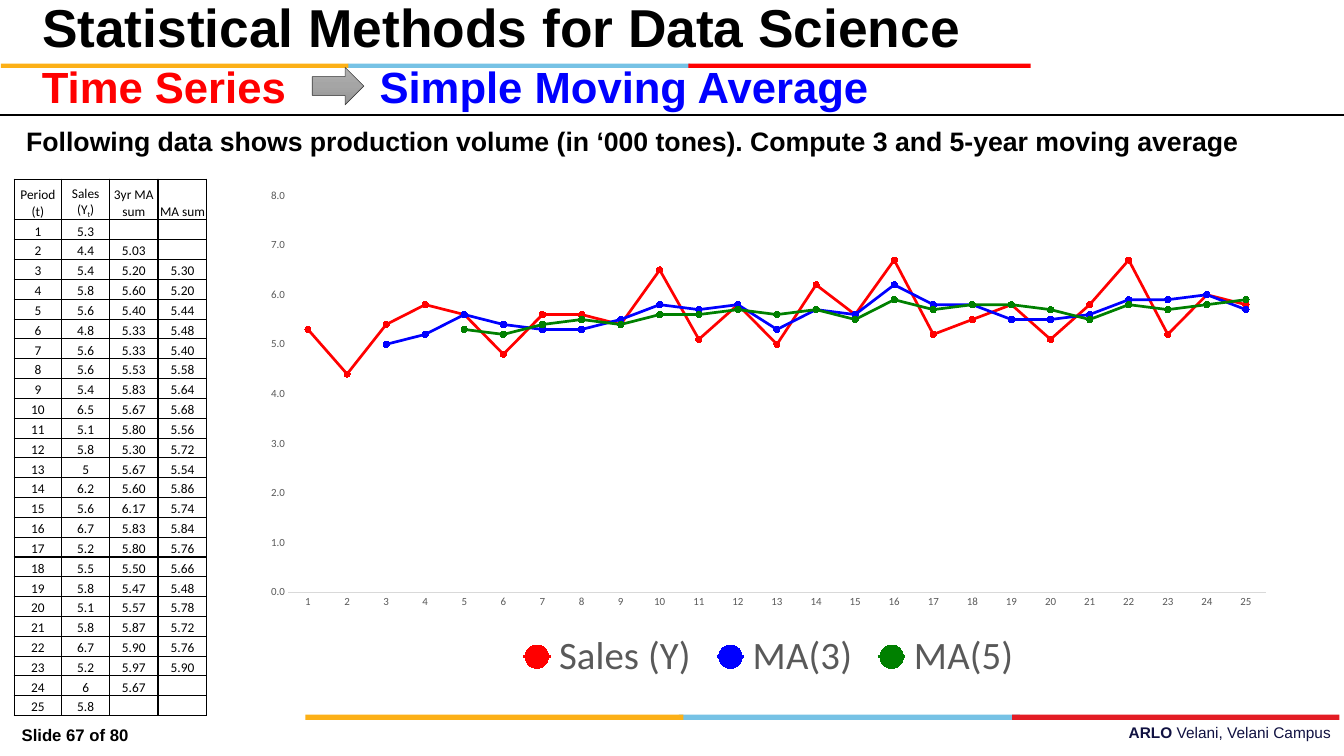
"""Build a slide on simple moving averages with a data table and a line chart."""
from copy import deepcopy
from dataclasses import dataclass

from lxml.etree import SubElement
from pptx import Presentation
from pptx.chart.data import CategoryChartData
from pptx.dml.color import RGBColor
from pptx.enum.chart import XL_CHART_TYPE as ChartType, XL_LEGEND_POSITION as LegendPosition
from pptx.enum.chart import XL_MARKER_STYLE as Marker, XL_TICK_MARK as TickMark
from pptx.enum.shapes import MSO_CONNECTOR as Connector, MSO_SHAPE as Shape
from pptx.enum.text import MSO_ANCHOR as Anchor, MSO_AUTO_SIZE as AutoSize, PP_ALIGN as Align
from pptx.oxml.ns import qn
from pptx.util import Cm, Pt


@dataclass(frozen=True)
class Theme:
    """Colours, fonts and type sizes of the slide."""
    heading_font: str = "Arial"
    data_font: str = "Calibri"
    black: str = "000000"
    red: str = "FF0000"
    blue: str = "0000FF"
    green: str = "008000"
    gold: str = "FCB017"
    sky: str = "76C2E5"
    crimson: str = "E31C24"
    navy: str = "101141"
    label_grey: str = "595959"
    axis_grey: str = "D9D9D9"
    arrow_line: str = "404040"
    arrow_greys: tuple = ("AFAFAF", "A5A5A5", "939393")
    title: float = 44
    topic: float = 36
    statement: float = 22
    page: float = 13.8
    campus: float = 12.7
    cell: float = 11
    axis: float = 9
    legend: float = 32


THEME = Theme()
SALES = ("5.3 4.4 5.4 5.8 5.6 4.8 5.6 5.6 5.4 6.5 5.1 5.8 5 6.2 5.6 6.7 5.2 5.5 5.8 "
         "5.1 5.8 6.7 5.2 6 5.8").split()
THREE_YEAR = ("5.03 5.20 5.60 5.40 5.33 5.33 5.53 5.83 5.67 5.80 5.30 5.67 5.60 6.17 5.83 "
              "5.80 5.50 5.47 5.57 5.87 5.90 5.97 5.67").split()
FIVE_YEAR = ("5.30 5.20 5.44 5.48 5.40 5.58 5.64 5.68 5.56 5.72 5.54 5.86 5.74 5.84 5.76 "
             "5.66 5.48 5.78 5.72 5.76 5.90").split()
PERIODS = [str(period) for period in range(1, len(SALES) + 1)]


def style_font(font, size, color, name=THEME.heading_font, bold=False):
    """Set the face, size, weight and colour of a font."""
    font.name, font.size, font.bold = name, Pt(size), bold
    font.color.rgb = RGBColor.from_string(color)


def fill_text(box, place, runs, size, color, anchor=Anchor.TOP, align=Align.LEFT):
    """Place a text holder, write its (text, bold) runs and return the paragraph."""
    box.left, box.top, box.width, box.height = map(Cm, place)
    frame = box.text_frame
    frame.word_wrap, frame.auto_size = True, AutoSize.NONE
    frame.vertical_anchor = anchor
    paragraph = frame.paragraphs[0]
    paragraph.alignment = align
    for text, bold in runs:
        run = paragraph.add_run()
        run.text = text
        style_font(run.font, size, color, bold=bold)
    return paragraph


def add_label(slide, place, runs, size, color, **layout):
    """Add a free text box."""
    fill_text(slide.shapes.add_textbox(*map(Cm, place)), place, runs, size, color, **layout)


def add_stripe(slide, top, height, segments):
    """Add a horizontal stripe of (left, width, colour) segments."""
    for left, width, color in segments:
        segment = slide.shapes.add_shape(Shape.RECTANGLE, Cm(left), Cm(top), Cm(width), Cm(height))
        segment.shadow.inherit = False
        segment.fill.solid()
        segment.fill.fore_color.rgb = RGBColor.from_string(color)
        segment.line.fill.background()


def add_topic_arrow(slide):
    """Add the grey gradient arrow between the two topics."""
    arrow = slide.shapes.add_shape(Shape.RIGHT_ARROW, Cm(9.09), Cm(1.96), Cm(1.5), Cm(1.09))
    arrow.shadow.inherit = False
    arrow.fill.gradient()
    arrow.fill.gradient_angle = 270
    stop_list = arrow._element.spPr.find(".//" + qn("a:gsLst"))
    stop_list.append(deepcopy(stop_list[-1]))
    for index, (stop, grey) in enumerate(zip(arrow.fill.gradient_stops, THEME.arrow_greys)):
        stop.color.rgb = RGBColor.from_string(grey)
        stop.position = index / 2
    arrow.line.color.rgb = RGBColor.from_string(THEME.arrow_line)
    arrow.line.width = Pt(0.5)


def add_header_rule(slide):
    """Add the thin rule under the header."""
    rule = slide.shapes.add_connector(Connector.STRAIGHT, Cm(-0.2), Cm(3.35), Cm(39.12), Cm(3.35))
    rule.line.color.rgb = RGBColor.from_string(THEME.black)
    rule.line.width = Pt(1.5)
    SubElement(rule.line._get_or_add_ln(), qn("a:headEnd"), type="oval")
    SubElement(rule._element.spPr, qn("a:effectLst"))


def border_cell(cell):
    """Draw a thin black line on each side of a cell."""
    properties = cell._tc.get_or_add_tcPr()
    for index, side in enumerate(("lnL", "lnR", "lnT", "lnB")):
        line = SubElement(properties, qn(f"a:{side}"), w=str(Pt(1)))
        SubElement(SubElement(line, qn("a:solidFill")), qn("a:srgbClr"), val=THEME.black)
        properties.insert(index, line)


def write_cell(cell, runs):
    """Write the (text, baseline) runs of a cell."""
    cell.margin_left = cell.margin_right = cell.margin_top = Cm(0.02)
    cell.margin_bottom = 0
    cell.vertical_anchor = Anchor.BOTTOM
    cell.fill.background()
    border_cell(cell)
    paragraph = cell.text_frame.paragraphs[0]
    paragraph.alignment = Align.CENTER
    for text, baseline in runs:
        run = paragraph.add_run()
        run.text = text
        style_font(run.font, THEME.cell, THEME.black, THEME.data_font)
        if baseline:
            run.font._element.set("baseline", str(baseline))
    SubElement(paragraph._p, qn("a:endParaRPr"), sz=str(int(THEME.cell * 100)))


def add_data_table(slide, left, columns):
    """Add a table from (header runs, values) columns."""
    header_height, body_height, column_width = Cm(1.19), Cm(14.43), Cm(1.39)
    row_count = len(PERIODS) + 1
    table = slide.shapes.add_table(row_count, len(columns), Cm(left), Cm(5.21),
                                   column_width * len(columns), header_height + body_height).table
    table.first_row = table.horz_banding = False
    for index, row in enumerate(table.rows):
        row.height = body_height // len(PERIODS) if index else header_height
    for column, (header, values) in enumerate(columns):
        table.columns[column].width = column_width
        write_cell(table.cell(0, column), header)
        for row, value in enumerate(values, start=1):
            write_cell(table.cell(row, column), [(value, 0)] if value else [])


def pad(averages, before):
    """Surround averages with gaps so that they span every period."""
    return [None] * before + averages + [None] * (len(PERIODS) - before - len(averages))


def add_average_chart(slide):
    """Add the line chart of sales and both moving averages."""
    lines = [("Sales (Y)", SALES, THEME.red),
             ("MA(3)", pad(THREE_YEAR, 2), THEME.blue),
             ("MA(5)", pad(FIVE_YEAR, 4), THEME.green)]
    data = CategoryChartData(number_format="0.0")
    data.categories = PERIODS
    for name, values, _ in lines:
        data.add_series(name, [round(float(value), 1) if value else None for value in values])
    chart = slide.shapes.add_chart(ChartType.LINE_MARKERS, Cm(7.29), Cm(5.21), Cm(30.15),
                                   Cm(14.83), data).chart
    chart.has_title = False
    style_font(chart.font, 10, THEME.black, THEME.data_font)
    chart.has_legend = True
    chart.legend.position, chart.legend.include_in_layout = LegendPosition.BOTTOM, False
    style_font(chart.legend.font, THEME.legend, THEME.label_grey, THEME.data_font)
    for axis in (chart.category_axis, chart.value_axis):
        axis.has_major_gridlines = False
        axis.major_tick_mark = axis.minor_tick_mark = TickMark.NONE
        style_font(axis.tick_labels.font, THEME.axis, THEME.label_grey, THEME.data_font)
    chart.category_axis.format.line.color.rgb = RGBColor.from_string(THEME.axis_grey)
    chart.category_axis.format.line.width = Pt(0.75)
    volume = chart.value_axis
    volume.format.line.fill.background()
    volume.minimum_scale, volume.maximum_scale, volume.major_unit = 0, 8, 1
    volume.tick_labels.number_format, volume.tick_labels.number_format_is_linked = "0.0", False
    chart.plots[0].vary_by_categories = False
    for series, (_, _, color) in zip(chart.plots[0].series, lines):
        series.smooth = False
        series.format.line.width = Pt(2.25)
        series.marker.style, series.marker.size = Marker.CIRCLE, 5
        series.marker.format.fill.solid()
        for paint in (series.format.line.color, series.marker.format.line.color,
                      series.marker.format.fill.fore_color):
            paint.rgb = RGBColor.from_string(color)


def add_headings(slide):
    """Fill the title and the problem statement placeholders."""
    title = fill_text(slide.shapes.title, (0.97, 0, 32.16, 1.73),
                      [("Statistical Methods for Data Science", True)],
                      THEME.title, THEME.black, anchor=Anchor.MIDDLE)
    title.line_spacing, title.space_before = 0.9, Pt(13.3)
    statement = fill_text(slide.placeholders[1], (0.51, 3.51, 37.9, 1.7),
                          [("Following data shows production volume (in ‘000 tones). "
                            "Compute 3 and 5-year moving average", True)],
                          THEME.statement, THEME.black)
    statement.space_before = Pt(6.5)
    properties = statement._p.get_or_add_pPr()
    properties.set("marL", "0")
    properties.set("indent", "0")
    SubElement(properties, qn("a:buNone"))


def main():
    """Build and save the slide."""
    deck = Presentation()
    deck.slide_width, deck.slide_height = Cm(39.12), Cm(22)
    slide = deck.slides.add_slide(deck.slide_layouts[1])
    add_stripe(slide, 1.85, 0.13, [(10.13, 9.96, THEME.sky), (0.03, 10.11, THEME.gold),
                                   (20.04, 9.96, THEME.red)])
    add_stripe(slide, 20.8, 0.15, [(19.76, 9.93, THEME.sky), (29.46, 9.53, THEME.crimson),
                                   (8.89, 11, THEME.gold)])
    add_label(slide, (13.97, 20.93, 25.02, 0.79), [("ARLO ", True), ("Velani, Velani Campus", False)],
              THEME.campus, THEME.navy, align=Align.RIGHT)
    add_label(slide, (0.38, 20.98, 6.43, 0.79), [("Slide 67 of 80", True)], THEME.page, THEME.black)
    add_headings(slide)
    add_label(slide, (0.97, 1.63, 8.33, 1.68), [("Time Series", True)], THEME.topic, THEME.red)
    add_label(slide, (10.8, 1.63, 27.43, 1.68), [("Simple Moving Average", True)],
              THEME.topic, THEME.blue)
    add_topic_arrow(slide)
    add_header_rule(slide)
    add_average_chart(slide)
    add_data_table(slide, 0.41, [([("Period (t)", 0)], PERIODS),
                                 ([("Sales (Y", 0), ("t", -25000), (")", 0)], SALES)])
    add_data_table(slide, 3.2, [([("3yr MA sum", 0)], pad(THREE_YEAR, 1))])
    add_data_table(slide, 4.62, [([("MA sum", 0)], pad(FIVE_YEAR, 2))])
    deck.save("out.pptx")


if __name__ == "__main__":
    main()
